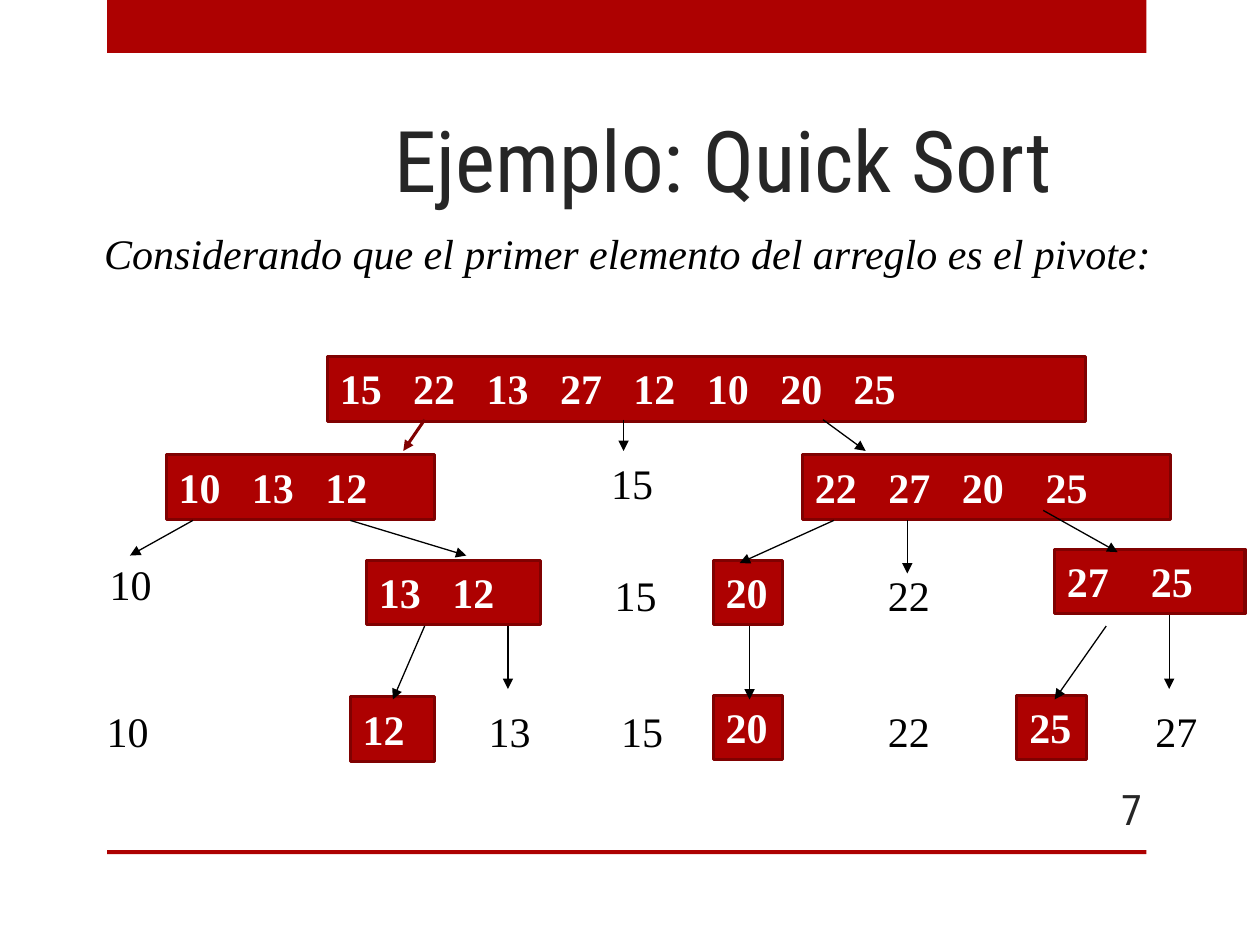
from lxml import etree
from pptx import Presentation
from pptx.dml.color import RGBColor
from pptx.enum.shapes import MSO_CONNECTOR, MSO_SHAPE
from pptx.enum.text import MSO_ANCHOR, MSO_AUTO_SIZE, PP_ALIGN
from pptx.oxml.ns import qn
from pptx.util import Cm, Pt

RECTANGLE, STRAIGHT = MSO_SHAPE.RECTANGLE, MSO_CONNECTOR.STRAIGHT
TOP, MIDDLE, BOTTOM = MSO_ANCHOR.TOP, MSO_ANCHOR.MIDDLE, MSO_ANCHOR.BOTTOM
LEFT, RIGHT = PP_ALIGN.LEFT, PP_ALIGN.RIGHT
NO_FIT = MSO_AUTO_SIZE.NONE

RED = RGBColor(0xAD, 0x01, 0x01)
DARK_RED = RGBColor(0x80, 0x01, 0x01)
BLACK = RGBColor(0x00, 0x00, 0x00)
WHITE = RGBColor(0xFF, 0xFF, 0xFF)
CHARCOAL = RGBColor(0x26, 0x26, 0x26)
HEADING_FONT, BODY_FONT = "Roboto Condensed", "Times New Roman"

# Content: all lengths in centimetres
TITLE = "Ejemplo: Quick Sort"
INTRO = "Considerando que el primer elemento del arreglo es el pivote:"
PAGE_NUMBER = "7"
STEP, WIDE_STEP = 1.48, 1.69  # distance between numbers in an array
BOX_HEIGHT = 1.3
LABEL_WIDTH, LABEL_HEIGHT = 1.35, 1.27

BARS = [(0, 1.07), (17.14, 0.08)]  # top, height

ARRAYS = [  # numbers, left, top, width, step before the last number
    ([15, 22, 13, 27, 12, 10, 20, 25], 6.6, 7.19, 15.29, STEP),
    ([10, 13, 12], 3.35, 9.17, 5.41, STEP),
    ([22, 27, 20, 25], 16.18, 9.17, 7.42, WIDE_STEP),
    ([13, 12], 7.39, 11.3, 3.51, STEP),
    ([20], 14.38, 11.3, 1.4, STEP),
    ([27, 25], 21.26, 11.07, 3.84, WIDE_STEP),
    ([12], 7.06, 14.05, 1.7, STEP),
    ([20], 14.38, 14.02, 1.4, STEP),
    ([25], 20.5, 14.02, 1.4, STEP),
]

PIVOTS = [  # top, then number and left of each
    (9.09, [(15, 12.07)]),
    (11.13, [(10, 1.96)]),
    (11.35, [(15, 12.14), (22, 17.65)]),
    (14.1, [(10, 1.9), (13, 9.6), (15, 12.27), (22, 17.65), (27, 23.04)]),
]

FIRST_ARROW = (8.56, 8.46, 8.13, 9.09)
ARROWS = [  # from x, from y, to x, to y
    (12.57, 8.46, 12.57, 9.09),
    (16.59, 8.46, 17.45, 9.09),
    (3.89, 10.49, 2.62, 11.2),
    (7.06, 10.49, 9.4, 11.2),
    (16.81, 10.49, 14.91, 11.35),
    (18.29, 10.49, 18.29, 11.56),
    (21.03, 10.29, 22.53, 11.13),
    (8.56, 12.62, 7.92, 14.1),
    (10.24, 12.62, 10.24, 13.89),
    (15.11, 12.62, 15.11, 14.1),
    (22.3, 12.62, 21.26, 14.1),
    (23.57, 12.4, 23.57, 13.89),
]

deck = Presentation()
deck.slide_width, deck.slide_height = Cm(25.4), Cm(19.05)
slide = deck.slides.add_slide(deck.slide_layouts[5])
shapes = slide.shapes


def write(shape, text, color, font=BODY_FONT, size=24, bold=False, italic=False,
          align=LEFT, anchor=TOP, wrap=True):
    frame = shape.text_frame
    frame.auto_size = NO_FIT
    frame.word_wrap = wrap
    frame.vertical_anchor = anchor
    para = frame.paragraphs[0]
    para.alignment = align
    span = para.add_run()
    span.text = text
    span.font.name, span.font.size = font, Pt(size)
    span.font.bold, span.font.italic = bold, italic
    span.font.color.rgb = color
    return para


def add_text(left, top, width, height, text, color, **style):
    box = shapes.add_textbox(Cm(left), Cm(top), Cm(width), Cm(height))
    write(box, text, color, **style)


def add_rectangle(left, top, width, height):
    box = shapes.add_shape(RECTANGLE, Cm(left), Cm(top), Cm(width), Cm(height))
    box.shadow.inherit = False
    box.fill.solid()
    box.fill.fore_color.rgb = RED
    box.line.fill.background()
    return box


def add_array(numbers, left, top, width, last_step):
    box = add_rectangle(left, top, width, BOX_HEIGHT)
    box.line.color.rgb = DARK_RED
    box.line.width = Pt(1.75)
    para = write(box, "\t".join(map(str, numbers)), WHITE, bold=True)
    # One tab stop for each number after the first
    tabs = etree.SubElement(para._p.get_or_add_pPr(), qn("a:tabLst"))
    for index in range(1, len(numbers)):
        step = last_step if index == len(numbers) - 1 else STEP
        position = (index - 1) * STEP + step
        etree.SubElement(tabs, qn("a:tab"), pos=str(Cm(position)), algn="l")


def add_arrow(ends, color=BLACK, width=0.75):
    arrow = shapes.add_connector(STRAIGHT, *map(Cm, ends))
    arrow.line.color.rgb = color
    arrow.line.width = Pt(width)
    etree.SubElement(arrow.line._get_or_add_ln(), qn("a:tailEnd"), type="triangle")
    etree.SubElement(arrow._element.spPr, qn("a:effectLst"))


# Frame bars
for top, height in BARS:
    add_rectangle(2.16, top, 20.95, height)

# Title, introduction and page number
title = shapes.title
title.left, title.top, title.width, title.height = Cm(7.7), Cm(1.9), Cm(15.57), Cm(2.46)
write(title, TITLE, CHARCOAL, font=HEADING_FONT, size=48.6, anchor=BOTTOM)
add_text(1.85, 4.47, 21.64, 1.27, INTRO, BLACK, italic=True, wrap=False)
add_text(21.16, 15.8, 2.11, 1.02, PAGE_NUMBER, CHARCOAL, font=HEADING_FONT,
         align=RIGHT, anchor=MIDDLE)

# Sorting tree
for array in ARRAYS:
    add_array(*array)
for top, labels in PIVOTS:
    for number, left in labels:
        add_text(left, top, LABEL_WIDTH, LABEL_HEIGHT, str(number), BLACK, wrap=False)
add_arrow(FIRST_ARROW, DARK_RED, 1.75)
for ends in ARROWS:
    add_arrow(ends)

deck.save("out.pptx")
